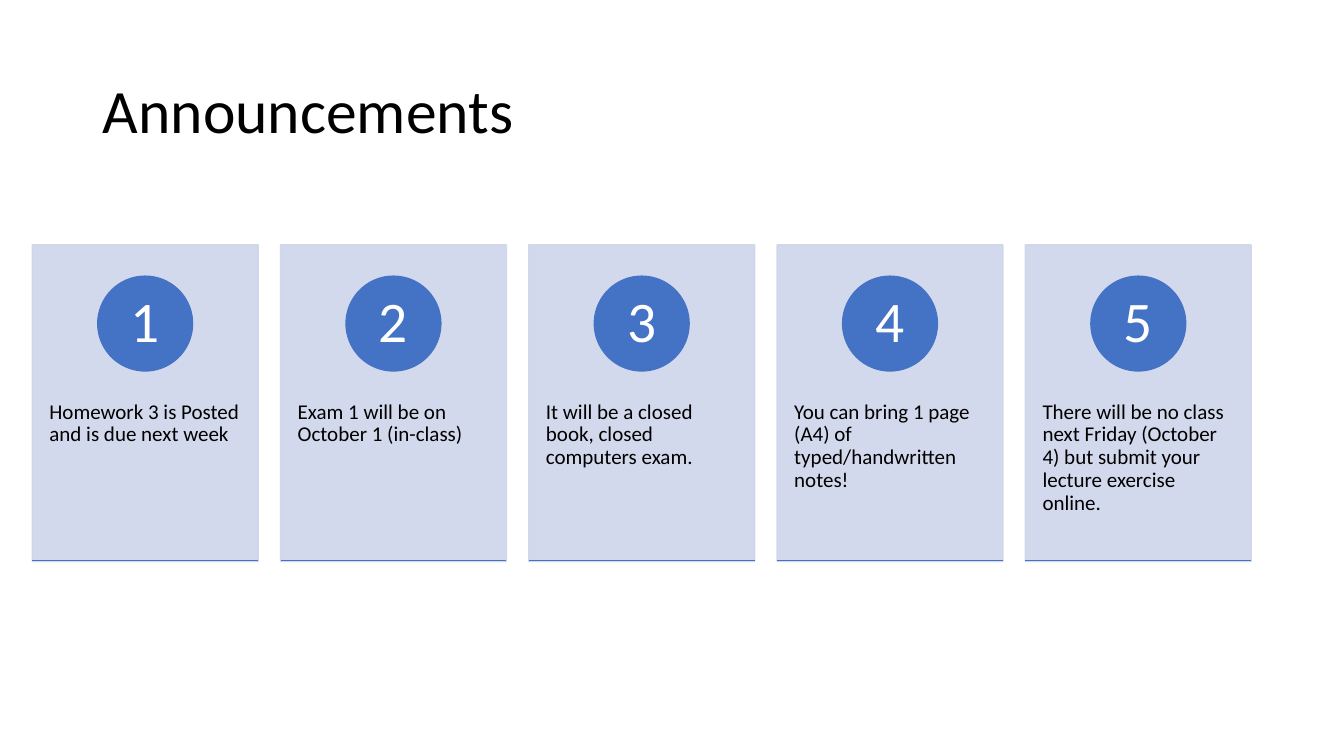
"""Build the Announcements slide with five numbered cards."""
from lxml import etree
from pptx import Presentation
from pptx.dml.color import RGBColor
from pptx.enum.shapes import MSO_CONNECTOR, MSO_SHAPE
from pptx.enum.text import MSO_ANCHOR as Anchor, PP_ALIGN as Align
from pptx.oxml.ns import qn
from pptx.util import Inches, Pt

COLORS = {"text": "000000", "number": "FFFFFF", "card": "CFD5EA", "accent": "4472C4"}
ANNOUNCEMENTS = [
    "Homework 3 is Posted and is due next week",
    "Exam 1 will be on October 1 (in-class)",
    "It will be a closed book, closed computers exam.",
    "You can bring 1 page (A4) of typed/handwritten notes!",
    "There will be no class next Friday (October 4) but submit your lecture exercise online.",
]
FIRST_LEFT, LAST_LEFT = 0.32, 10.17
CARD_TOP, CARD_WIDTH, CARD_HEIGHT = 2.43, 2.24, 3.14
CIRCLE_TOP, CIRCLE_SIZE = 2.74, 0.94
RULE_TOP = 5.56


def write_text(shape, text, size, color, align, anchor, margins):
    """Fill a shape with one formatted paragraph."""
    frame = shape.text_frame
    frame.text = text
    sides = ("margin_left", "margin_top", "margin_right", "margin_bottom")
    layout = {"word_wrap": True, "vertical_anchor": anchor}
    layout.update({side: Inches(margin) for side, margin in zip(sides, margins)})
    for name, value in layout.items():
        setattr(frame, name, value)
    paragraph = frame.paragraphs[0]
    paragraph.alignment = align
    paragraph.line_spacing = 0.9
    for name, value in {"name": "Calibri", "size": Pt(size), "bold": False}.items():
        setattr(paragraph.font, name, value)
    paragraph.font.color.rgb = RGBColor.from_string(COLORS[color])


def add_block(kind, left, top, width, height, color, opacity=100):
    """Add a filled and outlined shape without a shadow."""
    shape = slide.shapes.add_shape(kind, Inches(left), Inches(top), Inches(width), Inches(height))
    shape.shadow.inherit = False
    shape.line.width = Pt(1)
    for fill in (shape.fill, shape.line.fill):
        fill.solid()
        fill.fore_color.rgb = RGBColor.from_string(COLORS[color])
    if opacity < 100:
        for color_element in shape._element.spPr.iter(qn("a:srgbClr")):
            etree.SubElement(color_element, qn("a:alpha"), val=str(opacity * 1000))
    return shape


presentation = Presentation()
presentation.slide_width = Inches(13.33)
presentation.slide_height = Inches(7.5)
slide = presentation.slides.add_slide(presentation.slide_layouts[5])

title = slide.shapes.title
title_box = {"left": 0.92, "top": 0.4, "width": 11.5, "height": 1.45}
for name, value in title_box.items():
    setattr(title, name, Inches(value))
write_text(title, "Announcements", 44, "text", Align.LEFT, Anchor.MIDDLE, (0.1, 0.05, 0.1, 0.05))

pitch = (LAST_LEFT - FIRST_LEFT) / (len(ANNOUNCEMENTS) - 1)
for index, announcement in enumerate(ANNOUNCEMENTS):
    left = FIRST_LEFT + index * pitch
    card = add_block(MSO_SHAPE.RECTANGLE, left, CARD_TOP, CARD_WIDTH, CARD_HEIGHT, "card", 90)
    write_text(card, announcement, 15, "text", Align.LEFT, Anchor.TOP, (0.17, 1.55, 0.17, 0.1))

    circle_left = left + (CARD_WIDTH - CIRCLE_SIZE) / 2
    circle = add_block(MSO_SHAPE.OVAL, circle_left, CIRCLE_TOP, CIRCLE_SIZE, CIRCLE_SIZE, "accent")
    write_text(circle, str(index + 1), 41, "number", Align.CENTER, Anchor.MIDDLE, (0.07, 0.01, 0.07, 0.01))

    rule = slide.shapes.add_connector(
        MSO_CONNECTOR.STRAIGHT, Inches(left), Inches(RULE_TOP), Inches(left + CARD_WIDTH), Inches(RULE_TOP)
    )
    rule.line.color.rgb = RGBColor.from_string(COLORS["accent"])
    rule.line.width = Pt(1)
    etree.SubElement(rule._element.spPr, qn("a:effectLst"))

presentation.save("out.pptx")
